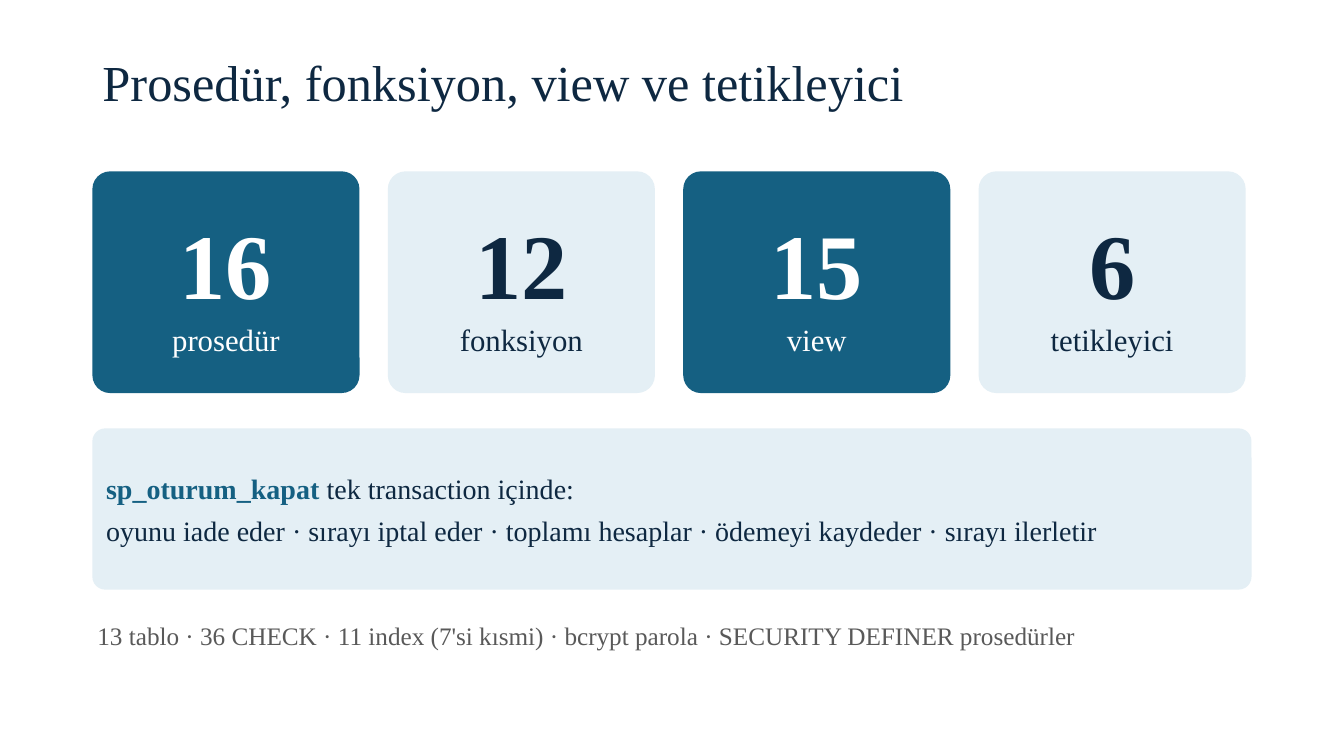
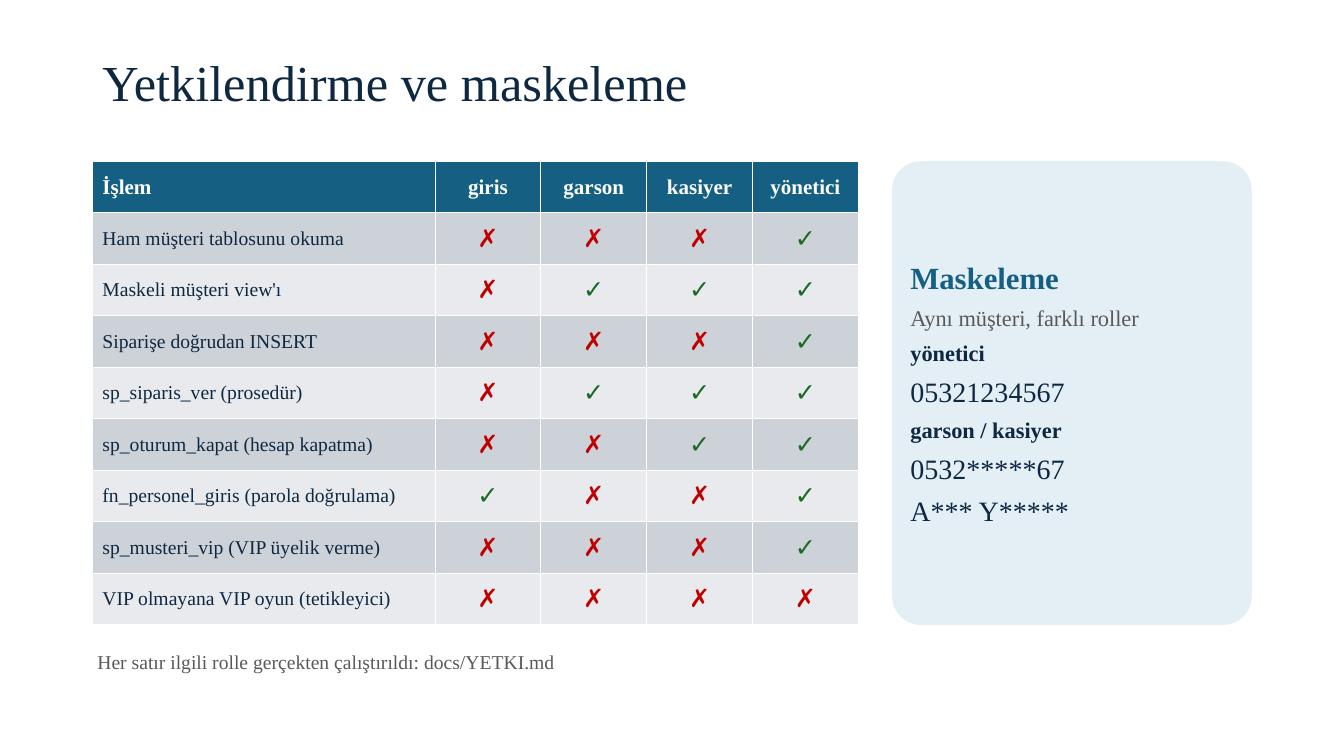
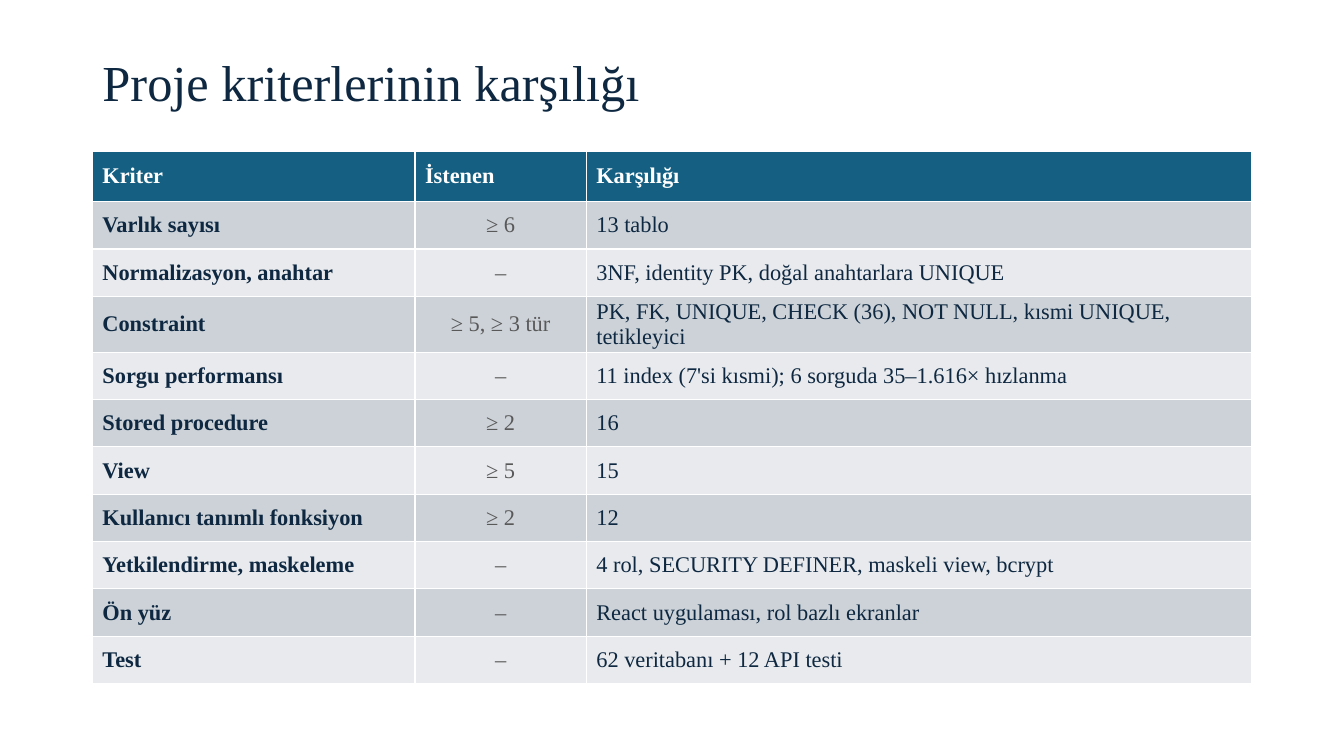
from dataclasses import dataclass
from typing import Sequence

from pptx import Presentation
from pptx.dml.color import RGBColor
from pptx.enum.shapes import MSO_SHAPE
from pptx.enum.text import MSO_ANCHOR, MSO_AUTO_SIZE, PP_ALIGN
from pptx.util import Pt

ROUNDED = MSO_SHAPE.ROUNDED_RECTANGLE
MIDDLE = MSO_ANCHOR.MIDDLE
NO_FIT, GROW = MSO_AUTO_SIZE.NONE, MSO_AUTO_SIZE.SHAPE_TO_FIT_TEXT
LEFT, CENTER = PP_ALIGN.LEFT, PP_ALIGN.CENTER

SERIF, SANS = "Times New Roman", "Roboto"
NAVY, TEAL, PALE, WHITE, GRAY = "0E2841", "156082", "E4EFF5", "FFFFFF", "595959"
RED, GREEN = "C00000", "196B24"
BANDS = ("CCD2D8", "E8EAED")
YES, NO = "✓", "✗"
MARGIN, CONTENT_W = 66, 828
TITLE_ONLY = 5


@dataclass(frozen=True)
class Box:
    left: float
    top: float
    width: float
    height: float

    def emu(self) -> tuple:
        return Pt(self.left), Pt(self.top), Pt(self.width), Pt(self.height)


@dataclass(frozen=True)
class Style:
    size: float
    color: str = NAVY
    bold: bool = False
    font: str = SERIF
    align: PP_ALIGN = LEFT


@dataclass(frozen=True)
class Span:
    text: str
    style: Style


@dataclass(frozen=True)
class Card:
    count: str
    label: str
    fill: str
    color: str


Line = Sequence[Span]


def rgb(color: str) -> RGBColor:
    return RGBColor.from_string(color)


def format_run(r, style: Style) -> None:
    r.font.name = style.font
    r.font.size = Pt(style.size)
    r.font.bold = style.bold
    r.font.color.rgb = rgb(style.color)


def write_lines(tf, lines: Sequence[Line], space_after: float = 0) -> None:
    for i, line in enumerate(lines):
        p = tf.add_paragraph() if i else tf.paragraphs[0]
        p.alignment = line[0].style.align
        p.space_after = Pt(space_after)
        for span in line:
            r = p.add_run()
            r.text = span.text
            format_run(r, span.style)


def add_titled_slide(prs, title: str):
    s = prs.slides.add_slide(prs.slide_layouts[TITLE_ONLY])
    sp = s.shapes.title
    sp.left, sp.top, sp.width, sp.height = Box(MARGIN, 25.2, CONTENT_W, 72).emu()
    tf = sp.text_frame
    tf.auto_size = NO_FIT
    tf.vertical_anchor = MIDDLE
    write_lines(tf, [[Span(title, Style(36))]])
    tf.paragraphs[0].line_spacing = 0.9
    return s


def add_panel(s, box: Box, fill: str, lines: Sequence[Line], space_after: float) -> None:
    sp = s.shapes.add_shape(ROUNDED, *box.emu())
    sp.adjustments[0] = 0.08
    sp.shadow.inherit = False
    sp.fill.solid()
    sp.fill.fore_color.rgb = rgb(fill)
    sp.line.fill.background()
    tf = sp.text_frame
    tf.word_wrap = True
    tf.vertical_anchor = MIDDLE
    write_lines(tf, lines, space_after)


def add_note(s, top: float, height: float, text: str, size: float) -> None:
    tf = s.shapes.add_textbox(*Box(MARGIN, top, CONTENT_W, height).emu()).text_frame
    tf.word_wrap = True
    tf.auto_size = GROW
    tf.margin_left = tf.margin_top = tf.margin_right = tf.margin_bottom = Pt(3.6)
    write_lines(tf, [[Span(text, Style(size, GRAY))]], 8)


def fill_cell(cell, span: Span, fill: str) -> None:
    cell.fill.solid()
    cell.fill.fore_color.rgb = rgb(fill)
    cell.vertical_anchor = MIDDLE
    write_lines(cell.text_frame, [[span]])


def add_grid(s, top: float, widths: Sequence[float], header_height: float,
             row_height: float, header: Line, rows: Sequence[Line]) -> None:
    box = Box(MARGIN, top, sum(widths), header_height + row_height * len(rows))
    table = s.shapes.add_table(len(rows) + 1, len(widths), *box.emu()).table
    for column, width in zip(table.columns, widths):
        column.width = Pt(width)
    table.rows[0].height = Pt(header_height)
    for c, span in enumerate(header):
        fill_cell(table.cell(0, c), span, TEAL)
    for i, row in enumerate(rows):
        table.rows[i + 1].height = Pt(row_height)
        for c, span in enumerate(row):
            cell = table.cell(i + 1, c)
            cell.margin_top = cell.margin_bottom = Pt(2.16)
            fill_cell(cell, span, BANDS[i % 2])


def mark(symbol: str) -> Span:
    color = GREEN if symbol == YES else RED
    return Span(symbol, Style(18, color, True, SANS, CENTER))


def build_objects_slide(prs) -> None:
    s = add_titled_slide(prs, "Prosedür, fonksiyon, view ve tetikleyici")
    cards = (
        Card("16", "prosedür", TEAL, WHITE),
        Card("12", "fonksiyon", PALE, NAVY),
        Card("15", "view", TEAL, WHITE),
        Card("6", "tetikleyici", PALE, NAVY),
    )
    width, gap = 190.8, 20.2
    for i, card in enumerate(cards):
        add_panel(s, Box(MARGIN + i * (width + gap), 122.4, width, 158.4), card.fill, [
            [Span(card.count, Style(66, card.color, True, align=CENTER))],
            [Span(card.label, Style(22, card.color, align=CENTER))],
        ], 2)
    body = Style(20)
    add_panel(s, Box(MARGIN, 306, CONTENT_W, 115.2), PALE, [
        [Span("sp_oturum_kapat", Style(20, TEAL, True)),
         Span(" tek transaction içinde:", body)],
        [Span("oyunu iade eder · sırayı iptal eder · toplamı hesaplar · "
              "ödemeyi kaydeder · sırayı ilerletir", body)],
    ], 6)
    add_note(s, 439.2, 43.2, "13 tablo · 36 CHECK · 11 index (7'si kısmi) · "
             "bcrypt parola · SECURITY DEFINER prosedürler", 18)


def build_permissions_slide(prs) -> None:
    s = add_titled_slide(prs, "Yetkilendirme ve maskeleme")
    roles = ("giris", "garson", "kasiyer", "yönetici")
    permissions = (
        ("Ham müşteri tablosunu okuma", "✗✗✗✓"),
        ("Maskeli müşteri view'ı", "✗✓✓✓"),
        ("Siparişe doğrudan INSERT", "✗✗✗✓"),
        ("sp_siparis_ver (prosedür)", "✗✓✓✓"),
        ("sp_oturum_kapat (hesap kapatma)", "✗✗✓✓"),
        ("fn_personel_giris (parola doğrulama)", "✓✗✗✓"),
        ("sp_musteri_vip (VIP üyelik verme)", "✗✗✗✓"),
        ("VIP olmayana VIP oyun (tetikleyici)", "✗✗✗✗"),
    )
    role_style = Style(15, WHITE, True, align=CENTER)
    header = [Span("İşlem", Style(15, WHITE, True))]
    header += [Span(role, role_style) for role in roles]
    rows = [[Span(action, Style(14)), *map(mark, marks)] for action, marks in permissions]
    add_grid(s, 115.2, (244.8, *[75.6] * len(roles)), 36.8, 36.8, header, rows)

    label, value = Style(16, bold=True), Style(20)
    add_panel(s, Box(637.2, 115.2, 257, 331.2), PALE, [
        [Span("Maskeleme", Style(22, TEAL, True))],
        [Span("Aynı müşteri, farklı roller", Style(16, GRAY))],
        [Span("yönetici", label)],
        [Span("05321234567", value)],
        [Span("garson / kasiyer", label)],
        [Span("0532*****67", value)],
        [Span("A*** Y*****", value)],
    ], 6)
    add_note(s, 460.8, 36,
             "Her satır ilgili rolle gerçekten çalıştırıldı: docs/YETKI.md", 14)


def build_criteria_slide(prs) -> None:
    s = add_titled_slide(prs, "Proje kriterlerinin karşılığı")
    criteria = (
        ("Varlık sayısı", "≥ 6", "13 tablo"),
        ("Normalizasyon, anahtar", "–", "3NF, identity PK, doğal anahtarlara UNIQUE"),
        ("Constraint", "≥ 5, ≥ 3 tür",
         "PK, FK, UNIQUE, CHECK (36), NOT NULL, kısmi UNIQUE, tetikleyici"),
        ("Sorgu performansı", "–", "11 index (7'si kısmi); 6 sorguda 35–1.616× hızlanma"),
        ("Stored procedure", "≥ 2", "16"),
        ("View", "≥ 5", "15"),
        ("Kullanıcı tanımlı fonksiyon", "≥ 2", "12"),
        ("Yetkilendirme, maskeleme", "–", "4 rol, SECURITY DEFINER, maskeli view, bcrypt"),
        ("Ön yüz", "–", "React uygulaması, rol bazlı ekranlar"),
        ("Test", "–", "62 veritabanı + 12 API testi"),
    )
    styles = (Style(16, bold=True), Style(16, GRAY, align=CENTER), Style(16))
    header = [Span(text, Style(16, WHITE, True))
              for text in ("Kriter", "İstenen", "Karşılığı")]
    rows = [[Span(text, style) for text, style in zip(row, styles)] for row in criteria]
    add_grid(s, 108, (230.4, 122.4, 475.2), 36, 33.84, header, rows)


def main() -> None:
    prs = Presentation()
    prs.slide_width, prs.slide_height = Pt(960), Pt(540)
    build_objects_slide(prs)
    build_permissions_slide(prs)
    build_criteria_slide(prs)
    prs.save("out.pptx")


if __name__ == "__main__":
    main()
